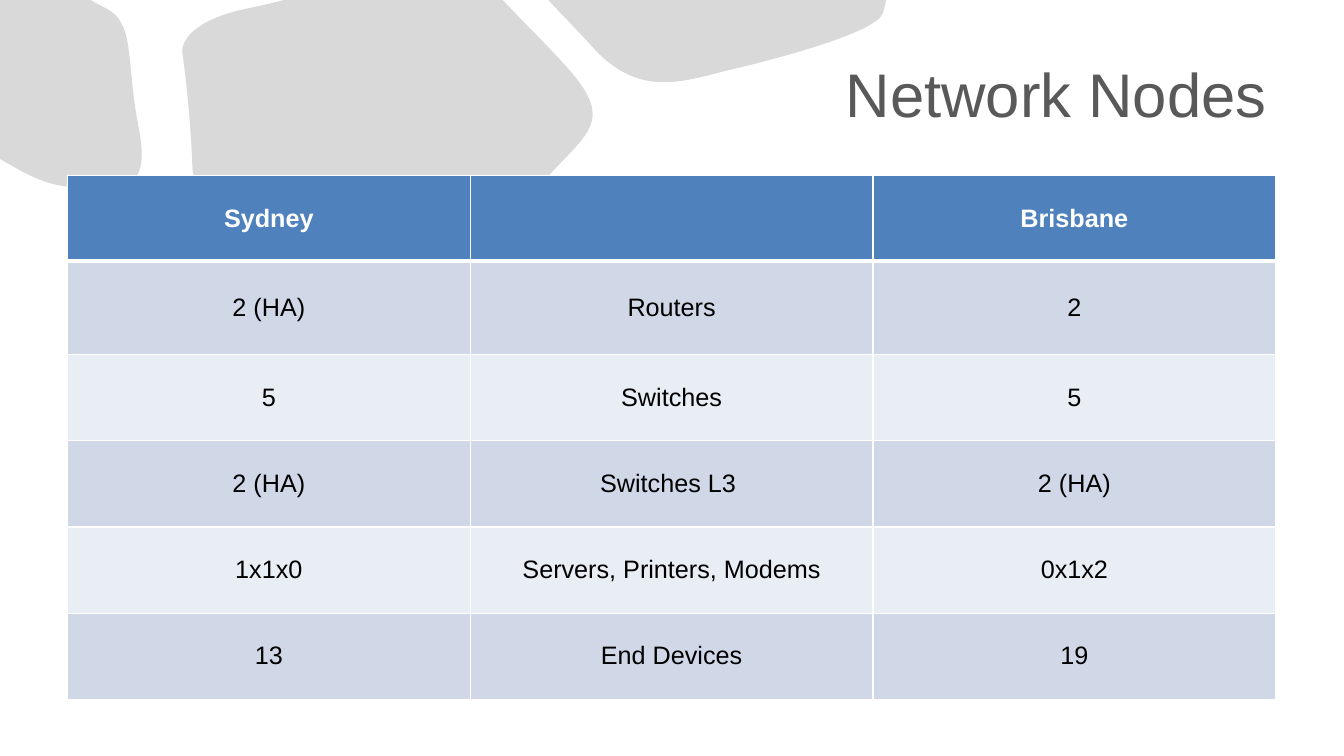
from dataclasses import dataclass

from lxml.etree import SubElement
from pptx import Presentation
from pptx.dml.color import RGBColor
from pptx.enum.text import MSO_ANCHOR, PP_ALIGN
from pptx.oxml.ns import qn
from pptx.slide import Slide
from pptx.table import _Cell
from pptx.text.text import _Paragraph
from pptx.util import Cm, Pt

COLORS = {
    "stone": "D9D9D9",
    "title": "595959",
    "header": "4F81BD",
    "odd": "D0D8E8",
    "even": "E9EDF4",
    "white": "FFFFFF",
    "black": "000000",
}
FONT = "Arial"
Point = tuple[float, float]


@dataclass
class Stone:
    start: Point
    segments: list[tuple[Point, ...]]


STONES = [
    Stone((13.82, 0), [
        ((14.15, 0.36), (14.55, 0.76), (15.01, 1.27)),
        ((16.18, 2.49), (17.27, 2.03), (18.44, 1.75)),
        ((19.71, 1.45), (22.1, 0.81), (22.25, 0.33)),
        ((22.28, 0.25), (22.3, 0.15), (22.33, 0)),
    ]),
    Stone((2.79, 0.28), [
        ((2.67, 0.2), (2.49, 0.13), (2.29, 0)),
        ((-0.08, 0),),
        ((-0.08, 3.96),),
        ((0.56, 4.32), (1.24, 4.8), (2.18, 4.7)),
        ((2.95, 4.62), (3.81, 5), (3.51, 3.28)),
        ((3.18, 1.7), (3.4, 0.69), (2.79, 0.28)),
    ]),
    Stone((12.67, 0), [
        ((7.16, 0),),
        ((6.78, 0.1), (6.4, 0.18), (6.07, 0.25)),
        ((4.9, 0.53), (4.55, 1.02), (4.6, 1.35)),
        ((4.72, 2.18), (4.83, 3.48), (4.85, 4.22)),
        ((4.88, 4.85), (5.59, 5.11), (6.25, 5.36)),
        ((6.83, 5.59), (9.42, 6.45), (10.01, 6.65)),
        ((10.01, 6.65), (11.3, 7.24), (12.04, 6.45)),
        ((12.78, 5.64), (13.59, 4.65), (14.27, 3.96)),
        ((14.86, 3.35), (15.21, 2.95), (14.66, 2.16)),
        ((14.35, 1.68), (13.28, 0.66), (12.67, 0)),
    ]),
]

NODES = [
    ("Sydney", "", "Brisbane"),
    ("2 (HA)", "Routers", "2"),
    ("5", "Switches", "5"),
    ("2 (HA)", "Switches L3 ", "2 (HA)"),
    ("1x1x0", "Servers, Printers, Modems", "0x1x2"),
    ("13", "End Devices", "19"),
]
ROW_HEIGHTS = [2.16, 2.36, 2.17, 2.17, 2.17, 2.17]
COLUMN_WIDTH = 10.15


def color(name: str) -> RGBColor:
    return RGBColor.from_string(COLORS[name])


def draw_stone(slide: Slide, stone: Stone) -> None:
    vertices = [(Cm(x), Cm(y)) for segment in stone.segments for x, y in segment]
    builder = slide.shapes.build_freeform(Cm(stone.start[0]), Cm(stone.start[1]))
    builder.add_line_segments(vertices, close=True)
    shape = builder.convert_to_shape()
    lines = iter(list(shape._element.iter(qn("a:lnTo"))))
    for segment in stone.segments:
        members = [next(lines) for _ in segment]
        if len(members) == 3:
            bend = members[0]
            bend.tag = qn("a:cubicBezTo")
            for member in members[1:]:
                bend.append(member[0])
                member.getparent().remove(member)
    shape.shadow.inherit = False
    shape.fill.solid()
    shape.fill.fore_color.rgb = color("stone")
    shape.line.fill.background()


def format_text(paragraph: _Paragraph, alignment: PP_ALIGN, size: int, ink: str, bold: bool = False) -> None:
    paragraph.alignment = alignment
    paragraph.font.size = Pt(size)
    for run in paragraph.runs:
        run.font.name = FONT
        run.font.size = Pt(size)
        run.font.bold = bold
        run.font.color.rgb = color(ink)


def draw_title(slide: Slide, text: str) -> None:
    shape = slide.shapes.add_textbox(Cm(1.7), Cm(0.76), Cm(30.48), Cm(3.18))
    text_frame = shape.text_frame
    text_frame.word_wrap = True
    text_frame.vertical_anchor = MSO_ANCHOR.MIDDLE
    text_frame.text = text
    format_text(text_frame.paragraphs[0], PP_ALIGN.RIGHT, 44, "title")


def set_borders(cell: _Cell, top: int, bottom: int) -> None:
    properties = cell._tc.get_or_add_tcPr()
    for side, width in (("L", 1), ("R", 1), ("T", top), ("B", bottom)):
        line = SubElement(properties, qn(f"a:ln{side}"), w=str(Pt(width)))
        fill = SubElement(line, qn("a:solidFill"))
        SubElement(fill, qn("a:srgbClr"), val=COLORS["white"])


def draw_nodes(slide: Slide) -> None:
    column_count = len(NODES[0])
    frame = slide.shapes.add_table(
        len(NODES), column_count, Cm(1.7), Cm(4.42), Cm(COLUMN_WIDTH * column_count), Cm(sum(ROW_HEIGHTS))
    )
    table = frame.table
    for column in table.columns:
        column.width = Cm(COLUMN_WIDTH)
    for row_index, (texts, height) in enumerate(zip(NODES, ROW_HEIGHTS)):
        table.rows[row_index].height = Cm(height)
        is_header = row_index == 0
        fill = "header" if is_header else ("even", "odd")[row_index % 2]
        ink = "white" if is_header else "black"
        for column_index, text in enumerate(texts):
            cell = table.cell(row_index, column_index)
            set_borders(cell, 3 if row_index == 1 else 1, 3 if is_header else 1)
            cell.fill.solid()
            cell.fill.fore_color.rgb = color(fill)
            cell.vertical_anchor = MSO_ANCHOR.MIDDLE
            cell.text_frame.text = text
            format_text(cell.text_frame.paragraphs[0], PP_ALIGN.CENTER, 18, ink, is_header)


def main() -> None:
    presentation = Presentation()
    presentation.slide_width = Cm(33.87)
    presentation.slide_height = Cm(19.05)
    slide = presentation.slides.add_slide(presentation.slide_layouts[6])
    for stone in STONES:
        draw_stone(slide, stone)
    draw_title(slide, "Network Nodes")
    draw_nodes(slide)
    presentation.save("out.pptx")


if __name__ == "__main__":
    main()
